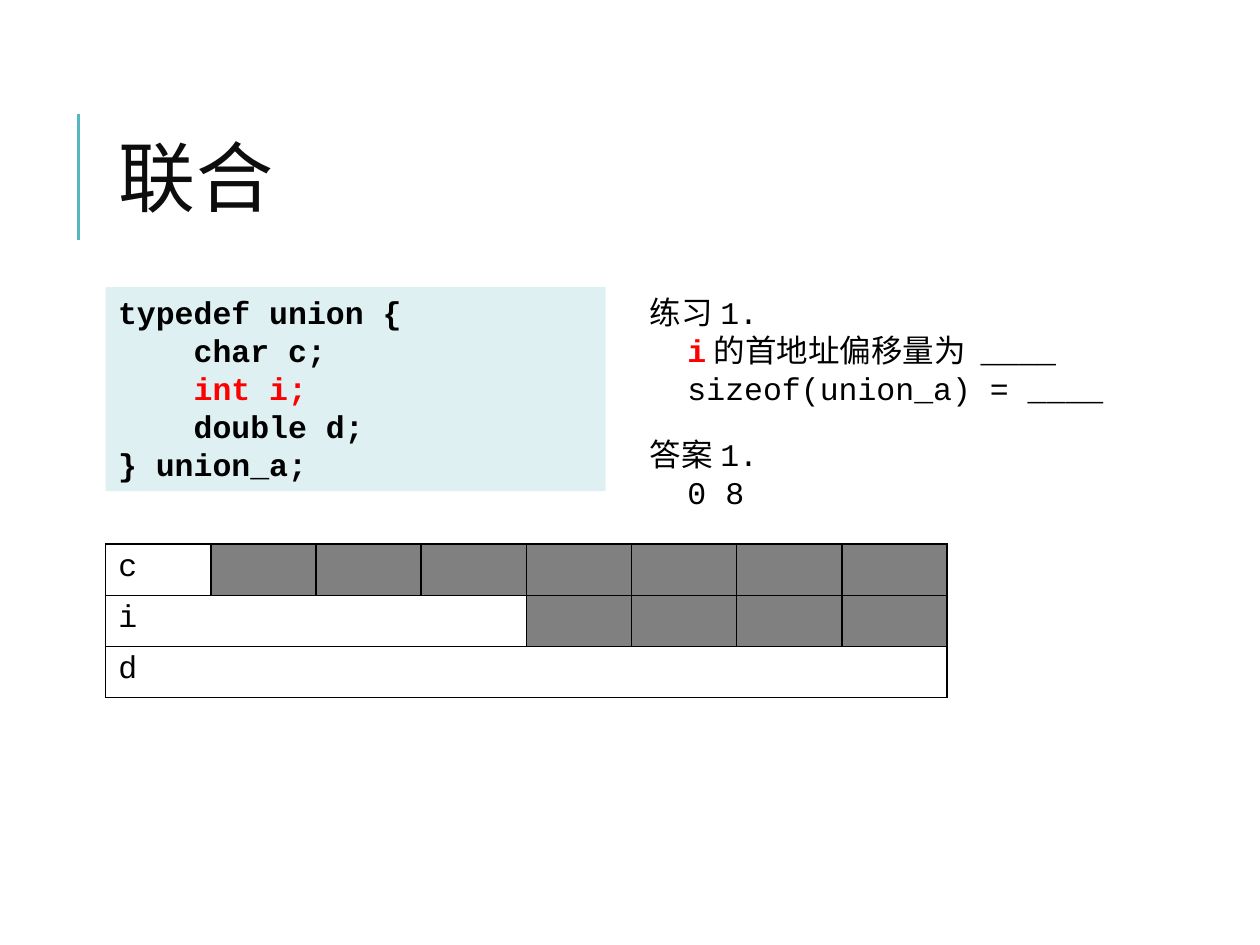
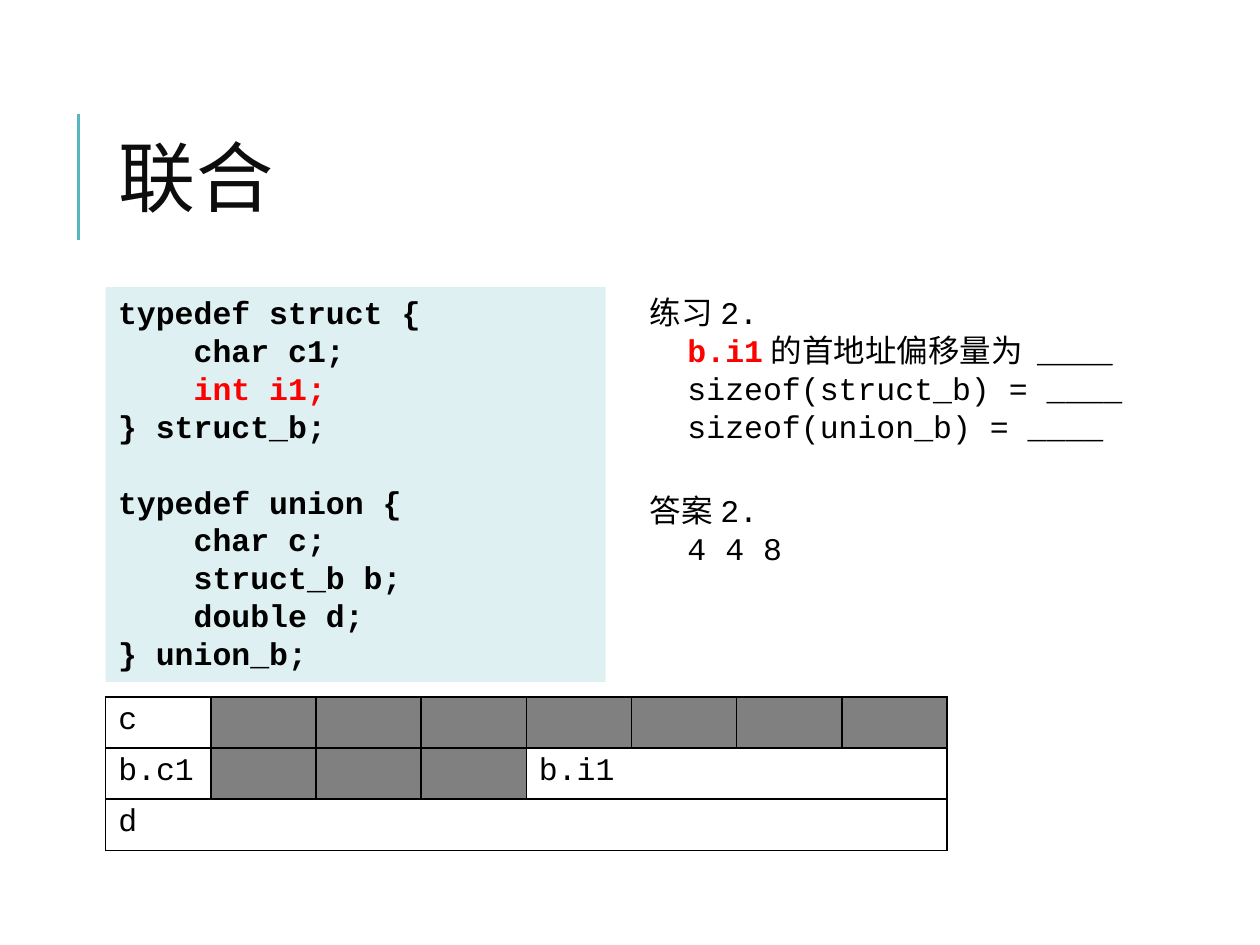
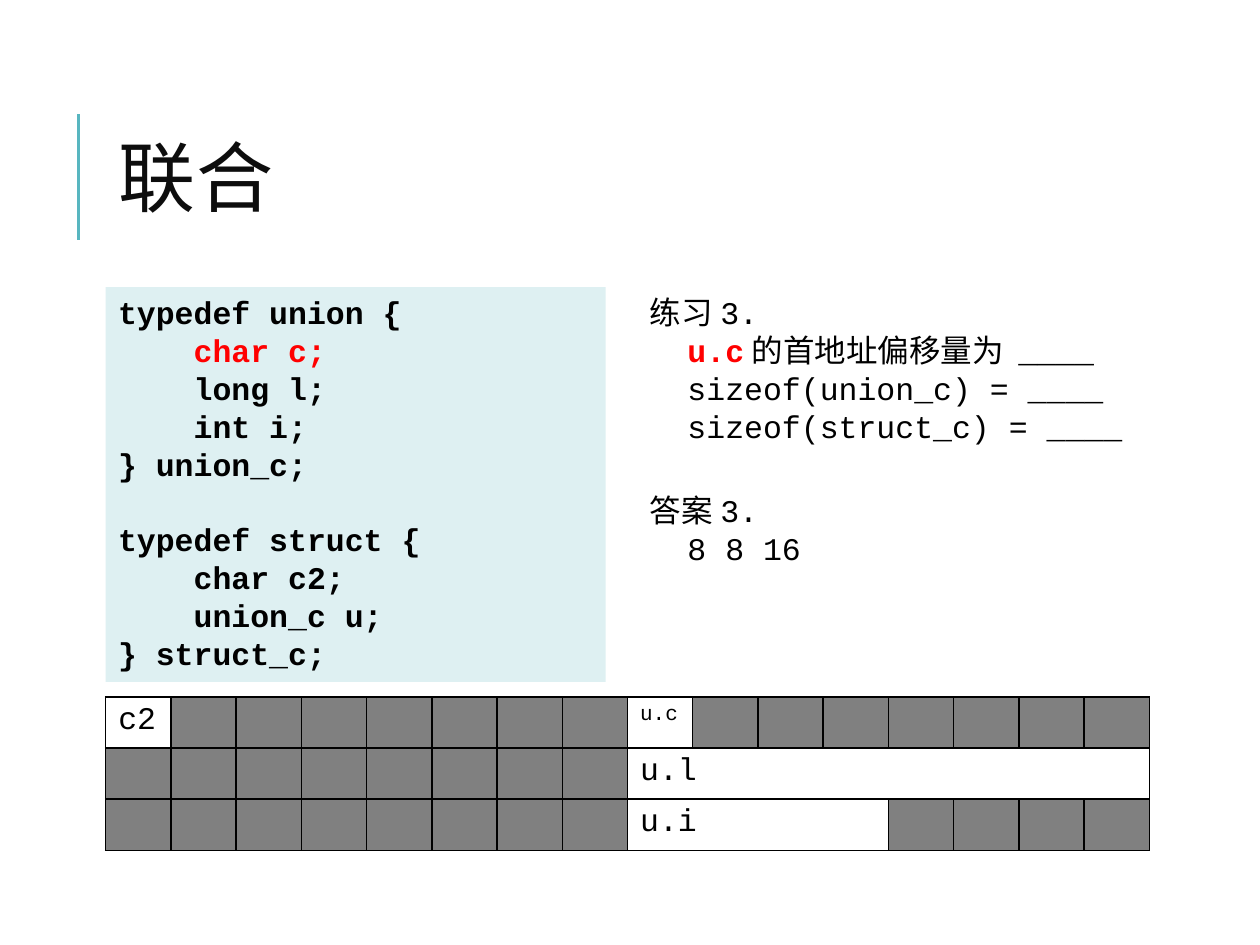
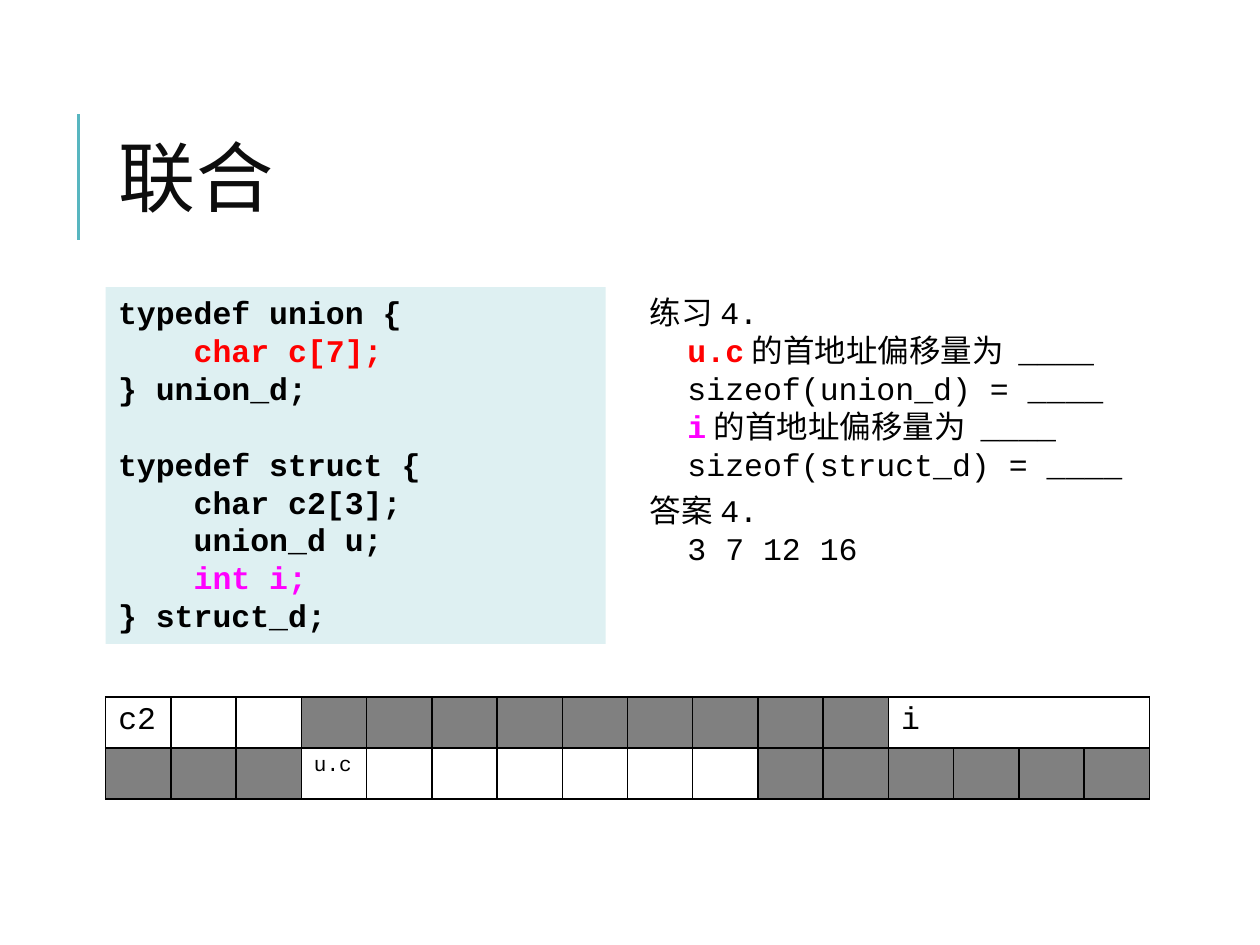
"""Build four slides of exercises on the memory layout of C unions."""
from lxml.etree import SubElement
from pptx import Presentation
from pptx.dml.color import RGBColor
from pptx.enum.shapes import MSO_CONNECTOR, MSO_SHAPE
from pptx.enum.text import MSO_ANCHOR, PP_ALIGN
from pptx.oxml.ns import qn
from pptx.util import Cm, Pt

COLORS = {
    "black": "000000", "title": "0D0D0D", "accent": "58B6C0", "code": "DEF0F2",
    "padding": "808080", "red": "FF0000", "magenta": "FF00FF",
}
RGB = {name: RGBColor.from_string(value) for name, value in COLORS.items()}
FONT = "Courier New"
LEFT, TOP, RIGHT = 2.13, 5.79, 12.85
LINE_H, BOX_PAD, ROW_H = 0.77, 0.26, 1.03
CHAR_W, CELL_PAD = 0.38, 0.5
PAD = "#"

SLIDES = [
    {
        "code": ["typedef union {", "    char c;", "    |int i;|red|", "    double d;",
                 "} union_a;"],
        "exercise": ["练习1.", "|i|red|的首地址偏移量为 ____", "sizeof(union_a) = ____"],
        "answer": ["答案1.", "0 8"],
        "answer_top": 8.64, "table_top": 10.97, "bytes": 8, "col_w": 2.12,
        "rows": [[("c", 1), (PAD, 7)], [("i", 4), (PAD, 4)], [("d", 8)]],
    },
    {
        "code": ["typedef struct {", "    char c1;", "    |int i1;|red|", "} struct_b;", "",
                 "typedef union {", "    char c;", "    struct_b b;", "    double d;",
                 "} union_b;"],
        "exercise": ["练习2.", "|b.i1|red|的首地址偏移量为 ____", "sizeof(struct_b) = ____",
                     "sizeof(union_b) = ____"],
        "answer": ["答案2.", "4 4 8"],
        "answer_top": 9.78, "table_top": 14.05, "bytes": 8, "col_w": 2.12,
        "rows": [[("c", 1), (PAD, 7)], [("b.c1", 1), (PAD, 3), ("b.i1", 4)], [("d", 8)]],
    },
    {
        "code": ["typedef union {", "    |char c;|red|", "    long l;", "    int i;",
                 "} union_c;", "", "typedef struct {", "    char c2;", "    union_c u;",
                 "} struct_c;"],
        "exercise": ["练习3.", "|u.c|red|的首地址偏移量为 ____", "sizeof(union_c) = ____",
                     "sizeof(struct_c) = ____"],
        "answer": ["答案3.", "8 8 16"],
        "answer_top": 9.78, "table_top": 14.05, "bytes": 16, "col_w": 1.315,
        "rows": [[("c2", 1), (PAD, 7), ("u.c", 1), (PAD, 7)], [(PAD, 8), ("u.l", 8)],
                 [(PAD, 8), ("u.i", 4), (PAD, 4)]],
    },
    {
        "code": ["typedef union {", "    |char c[7];|red|", "} union_d;", "",
                 "typedef struct {", "    char c2[3];", "    union_d u;",
                 "    |int i;|magenta|", "} struct_d;"],
        "exercise": ["练习4.", "|u.c|red|的首地址偏移量为 ____", "sizeof(union_d) = ____",
                     "|i|magenta|的首地址偏移量为 ____", "sizeof(struct_d) = ____"],
        "answer": ["答案4.", "3 7 12 16"],
        "answer_top": 9.78, "table_top": 14.05, "bytes": 16, "col_w": 1.315,
        "rows": [[("c2", 1), ("", 2), (PAD, 9), ("i", 4)],
                 [(PAD, 3), ("u.c", 1), ("", 6), (PAD, 6)]],
    },
]


def add_lines(tf, lines, bold=False, indent=0.0):
    """Write lines, where text|marked|colour|text colours a part and "" leaves a gap."""
    tf.word_wrap = True
    tf.vertical_anchor = MSO_ANCHOR.TOP
    gap = False
    for n, line in enumerate(lines):
        if not line:
            gap = True
            continue
        p = tf.paragraphs[0] if n == 0 else tf.add_paragraph()
        p.alignment = PP_ALIGN.LEFT
        if gap:
            p.space_before = Pt(21.7)
            gap = False
        if n and indent:
            p._p.get_or_add_pPr().set("marL", str(Cm(indent)))
        p.font.name, p.font.size, p.font.bold = FONT, Pt(18), bold
        before, mark, hue, after = (line.split("|") + [""] * 3)[:4]
        for text, color in ((before, "black"), (mark, hue), (after, "black")):
            if text:
                r = p.add_run()
                r.text = text
                r.font.color.rgb = RGB[color]
                if text == mark:
                    r.font.bold = True


def style_cell(cell, filled):
    """Give a cell thin black borders and a padding fill or none."""
    tcPr = cell._tc.get_or_add_tcPr()
    for side in ("a:lnL", "a:lnR", "a:lnT", "a:lnB"):
        ln = SubElement(tcPr, qn(side), w=str(Pt(1)))
        SubElement(SubElement(ln, qn("a:solidFill")), qn("a:srgbClr"), val=COLORS["black"])
    if filled:
        cell.fill.solid()
        cell.fill.fore_color.rgb = RGB["padding"]
    else:
        cell.fill.background()


prs = Presentation()
prs.slide_width, prs.slide_height = Cm(25.4), Cm(19.05)

for data in SLIDES:
    s = prs.slides.add_slide(prs.slide_layouts[6])

    bar = s.shapes.add_connector(MSO_CONNECTOR.STRAIGHT, Cm(1.58), Cm(4.83), Cm(1.58), Cm(2.29))
    bar.line.color.rgb = RGB["accent"]
    bar.line.width = Pt(1.5)
    SubElement(bar._element.spPr, qn("a:effectLst"))

    tf = s.shapes.add_textbox(Cm(LEFT), Cm(1.63), Cm(20.24), Cm(4.17)).text_frame
    tf.word_wrap = True
    tf.vertical_anchor = MSO_ANCHOR.MIDDLE
    p = tf.paragraphs[0]
    p.text = "联合"
    p.line_spacing = 0.8
    p.font.name, p.font.size = FONT, Pt(44)
    p.font.color.rgb = RGB["title"]
    p.runs[0].font._element.set("spc", "100")

    sp = s.shapes.add_shape(MSO_SHAPE.RECTANGLE, Cm(LEFT), Cm(TOP), Cm(10.08),
                            Cm(len(data["code"]) * LINE_H + BOX_PAD))
    sp.shadow.inherit = False
    sp.fill.solid()
    sp.fill.fore_color.rgb = RGB["code"]
    sp.line.fill.background()
    add_lines(sp.text_frame, data["code"], bold=True)

    for key, top, width in (("exercise", TOP, 10.49), ("answer", data["answer_top"], 8.56)):
        box = s.shapes.add_textbox(Cm(RIGHT), Cm(top), Cm(width),
                                   Cm(len(data[key]) * LINE_H + BOX_PAD))
        add_lines(box.text_frame, data[key], indent=2 * CHAR_W)

    rows, cols, col_w = data["rows"], data["bytes"], data["col_w"]
    table = s.shapes.add_table(len(rows), cols, Cm(LEFT), Cm(data["table_top"]),
                               Cm(cols * col_w), Cm(len(rows) * ROW_H)).table
    table.first_row = table.horz_banding = False
    for i, row in enumerate(rows):
        table.rows[i].height = Cm(ROW_H)
        j = 0
        for label, count in row:
            for k in range(j, j + count):
                style_cell(table.cell(i, k), label == PAD)
            if label not in ("", PAD):
                cell = table.cell(i, j)
                if count > 1:
                    cell.merge(table.cell(i, j + count - 1))
                p = cell.text_frame.paragraphs[0]
                p.text = label
                fits = len(label) * CHAR_W <= count * col_w - CELL_PAD
                p.font.name, p.font.size = FONT, Pt(18 if fits else 12)
                p.font.color.rgb = RGB["black"]
            j += count

prs.save("out.pptx")
